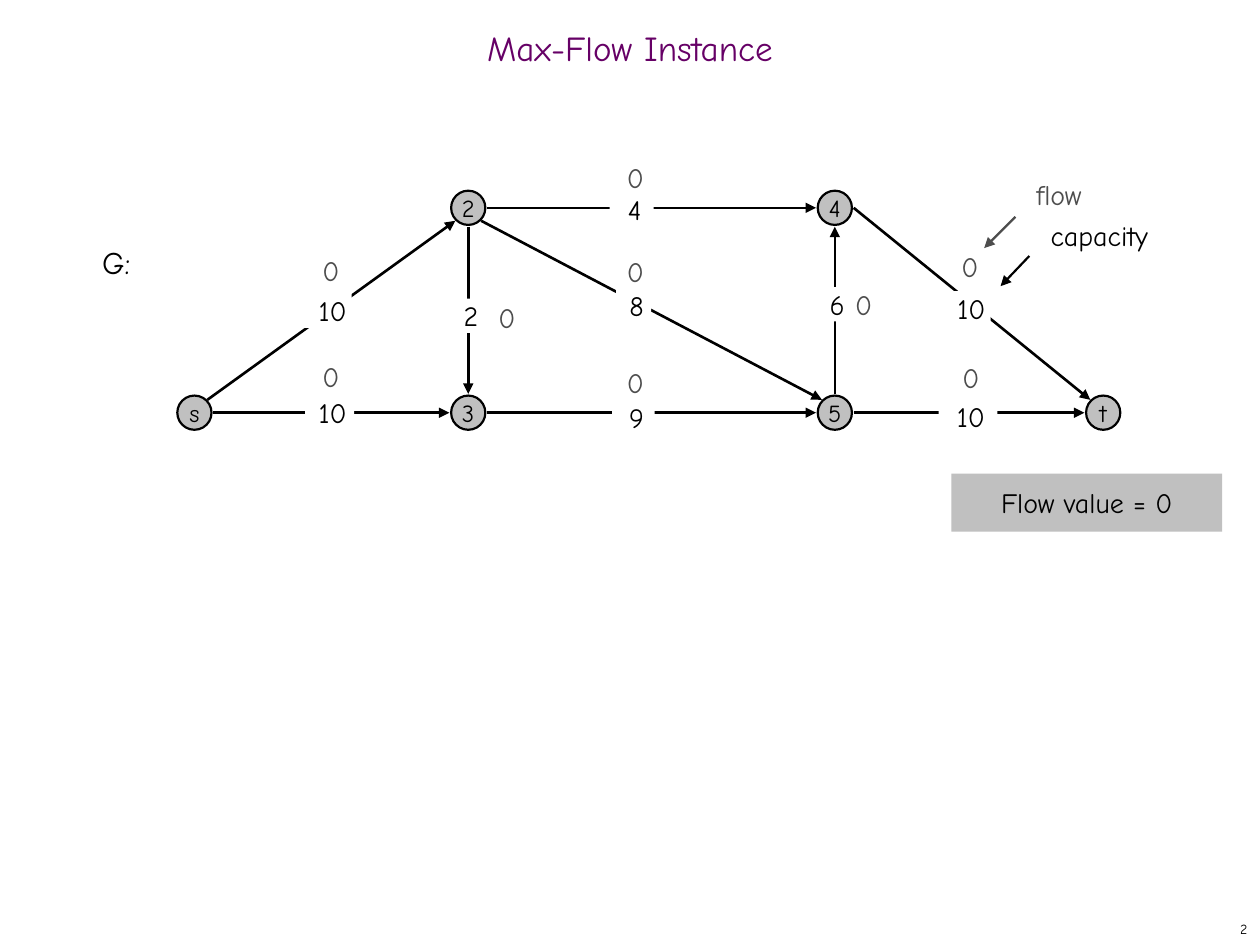
from dataclasses import dataclass

from lxml import etree
from pptx import Presentation
from pptx import util as u
from pptx.dml.color import RGBColor
from pptx.enum import shapes, text
from pptx.oxml.ns import qn


@dataclass(frozen=True)
class Theme:
    font: str = "Comic Neue"
    title: str = "660066"
    ink: str = "000000"
    flow: str = "4D4D4D"
    grey: str = "C0C0C0"
    paper: str = "FFFFFF"
    title_size: int = 20
    graph_size: int = 18
    label_size: int = 16
    node_size: int = 14
    number_size: int = 8


@dataclass(frozen=True)
class Node:
    name: str
    x: float
    y: float


@dataclass(frozen=True)
class Edge:
    start: str  # node name and the side the edge leaves from
    end: str
    capacity: str
    box: tuple[float, float, float]  # left, top, width
    flow_at: tuple[float, float]
    indent: float = 0.12


T = Theme()
Cm = u.Cm

# Graph layout in centimetres
TOP, BOTTOM = 4.19, 8.32
DIAMETER, REACH, DIAGONAL = 0.69, 0.38, 0.26
LABEL_H, FLOW_W, FLOW_H = 0.69, 0.94, 0.48
SIDES = {
    "n": (0, -REACH), "e": (REACH, 0), "s": (0, REACH), "w": (-REACH, 0),
    "ne": (DIAGONAL, -DIAGONAL), "se": (DIAGONAL, DIAGONAL),
    "nw": (-DIAGONAL, -DIAGONAL),
}
NODES = {n.name: n for n in (
    Node("s", 3.92, BOTTOM), Node("2", 9.44, TOP), Node("3", 9.44, BOTTOM),
    Node("4", 16.83, TOP), Node("5", 16.83, BOTTOM), Node("t", 22.24, BOTTOM),
)}
EDGES = (
    Edge("s ne", "2 s_w", "10", (5.92, 5.92, 1.17), (6.2, 5.11), 0.4),
    Edge("s e", "3 w", "10", (6.15, 7.98, 0.99), (6.2, 7.24)),
    Edge("3 e", "5 w", "9", (12.34, 8.08, 0.86), (12.34, 7.37)),
    Edge("2 e", "4 w", "4", (12.29, 3.89, 0.89), (12.34, 3.23)),
    Edge("2 s", "3 n", "2", (8.84, 6.02, 1.19), (9.75, 6.05)),
    Edge("5 n", "4 s", "6", (16.23, 5.79, 1.17), (16.94, 5.79)),
    Edge("2 se", "5 nw", "8", (12.42, 5.82, 0.71), (12.34, 5.13)),
    Edge("4 e", "t nw", "10", (18.8, 5.87, 1.17), (19.08, 5.03), 0.4),
    Edge("5 e", "t w", "10", (18.92, 8.05, 1.19), (19.1, 7.26)),
)
SIDES["s_w"] = (-DIAGONAL, DIAGONAL)


def write(sp, words: str, *, size: int = T.label_size, color: str = T.ink,
          align=text.PP_ALIGN.CENTER, anchor=text.MSO_ANCHOR.TOP,
          wrap: bool = True, left: float = 0, right: float = 0) -> None:
    tf = sp.text_frame
    tf.auto_size = text.MSO_AUTO_SIZE.NONE
    tf.word_wrap = wrap
    tf.vertical_anchor = anchor
    tf.margin_left, tf.margin_right = Cm(left), Cm(right)
    tf.margin_top = tf.margin_bottom = 0
    p = tf.paragraphs[0]
    p.alignment = align
    r = p.add_run()
    r.text = words
    r.font.name = T.font
    r.font.size = u.Pt(size)
    r.font.color.rgb = RGBColor.from_string(color)


def add_box(s, x: float, y: float, w: float, h: float, words: str, *,
            fill: str | None = None, **fmt) -> None:
    at = [Cm(v) for v in (x, y, w, h)]
    if fill:
        sp = s.shapes.add_shape(shapes.MSO_SHAPE.RECTANGLE, *at)
        sp.shadow.inherit = False
        sp.fill.solid()
        sp.fill.fore_color.rgb = RGBColor.from_string(fill)
        sp.line.fill.background()
    else:
        sp = s.shapes.add_textbox(*at)
    write(sp, words, **fmt)


def add_arrow(s, x1: float, y1: float, x2: float, y2: float, *,
              color: str = T.ink, width: float = 1.5) -> None:
    c = s.shapes.add_connector(shapes.MSO_CONNECTOR.STRAIGHT,
                               Cm(x1), Cm(y1), Cm(x2), Cm(y2))
    c.line.color.rgb = RGBColor.from_string(color)
    c.line.width = u.Pt(width)
    etree.SubElement(c.line._get_or_add_ln(), qn("a:tailEnd"), type="triangle")
    etree.SubElement(c._element.spPr, qn("a:effectLst"))


def add_node(s, node: Node) -> None:
    sp = s.shapes.add_shape(
        shapes.MSO_SHAPE.OVAL, Cm(node.x - DIAMETER / 2),
        Cm(node.y - DIAMETER / 2), Cm(DIAMETER), Cm(DIAMETER))
    sp.shadow.inherit = False
    sp.fill.solid()
    sp.fill.fore_color.rgb = RGBColor.from_string(T.grey)
    sp.line.color.rgb = RGBColor.from_string(T.ink)
    sp.line.width = u.Pt(1.25)
    write(sp, node.name, size=T.node_size, wrap=False,
          anchor=text.MSO_ANCHOR.MIDDLE)


def port(end: str) -> tuple[float, float]:
    """Point just outside a node on the named side."""
    name, side = end.split()
    dx, dy = SIDES[side]
    return NODES[name].x + dx, NODES[name].y + dy


def main() -> None:
    prs = Presentation()
    prs.slide_width, prs.slide_height = Cm(25.4), Cm(19.05)
    s = prs.slides.add_slide(prs.slide_layouts[5])

    # Title and page number
    title = s.shapes.title
    title.left, title.top = Cm(0), Cm(0.43)
    title.width, title.height = Cm(25.4), Cm(1.27)
    write(title, "Max-Flow Instance", size=T.title_size, color=T.title,
          anchor=text.MSO_ANCHOR.MIDDLE)
    title.text_frame.paragraphs[0].line_spacing = 0.7
    add_box(s, 20.12, 18.42, 5.28, 0.63, "2", size=T.number_size, right=0.25,
            align=text.PP_ALIGN.RIGHT, anchor=text.MSO_ANCHOR.MIDDLE)

    # Graph: nodes, edges, then the labels that interrupt the edges
    for node in NODES.values():
        add_node(s, node)
    for edge in EDGES:
        add_arrow(s, *port(edge.start), *port(edge.end))
    for edge in EDGES:
        add_box(s, *edge.box, LABEL_H, edge.capacity, fill=T.paper,
                left=edge.indent)
    for edge in EDGES:
        add_box(s, *edge.flow_at, FLOW_W, FLOW_H, "0", color=T.flow)

    # Graph name and flow value
    add_box(s, 1.88, 4.9, 1.22, 0.76, "G:", fill=T.paper, size=T.graph_size,
            align=text.PP_ALIGN.LEFT, left=0.18)
    add_box(s, 19.18, 9.55, 5.46, 1.17, "Flow value = 0", fill=T.grey,
            anchor=text.MSO_ANCHOR.MIDDLE)

    # Key to the two numbers on an edge
    add_box(s, 20.45, 3.58, 1.8, 0.69, "flow", color=T.flow)
    add_box(s, 20.6, 4.4, 3.12, 0.69, "capacity")
    add_arrow(s, 20.47, 4.37, 19.84, 5, color=T.flow, width=1.25)
    add_arrow(s, 20.75, 5.16, 20.17, 5.77, width=1.25)

    prs.save("out.pptx")


if __name__ == "__main__":
    main()
